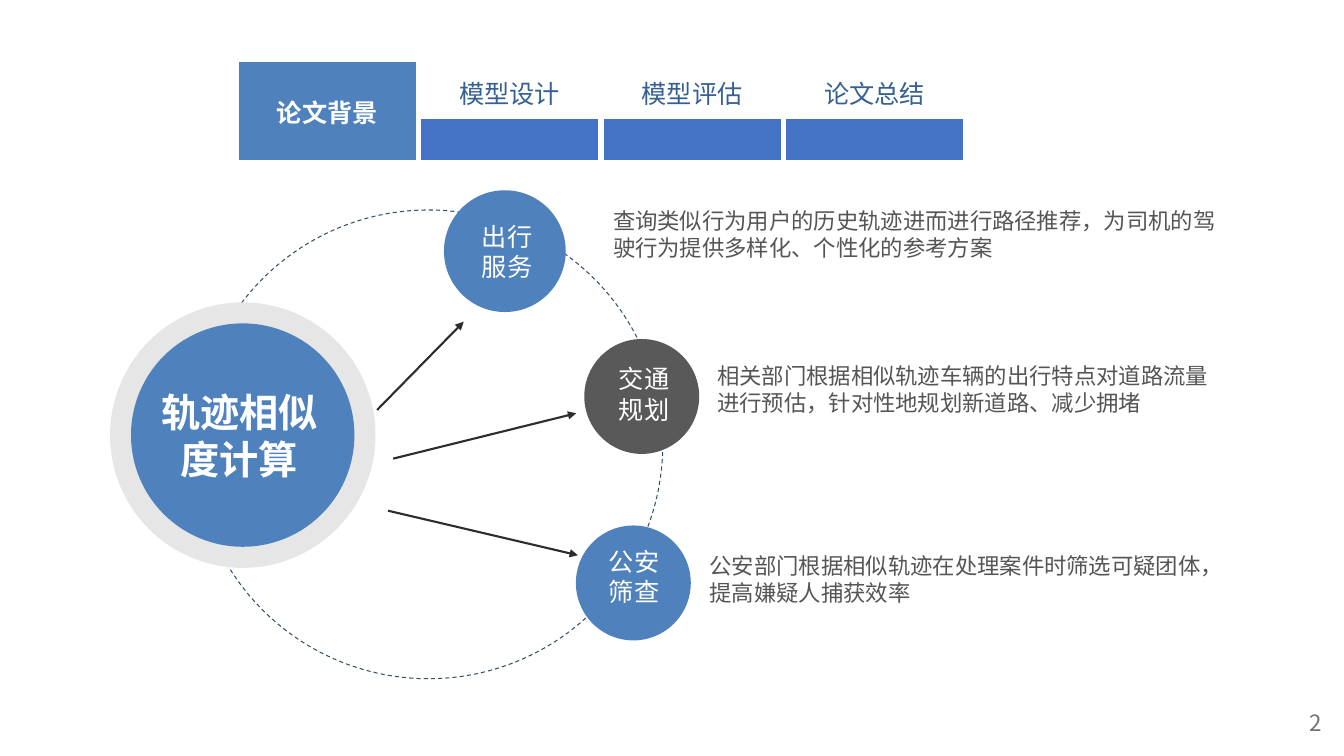
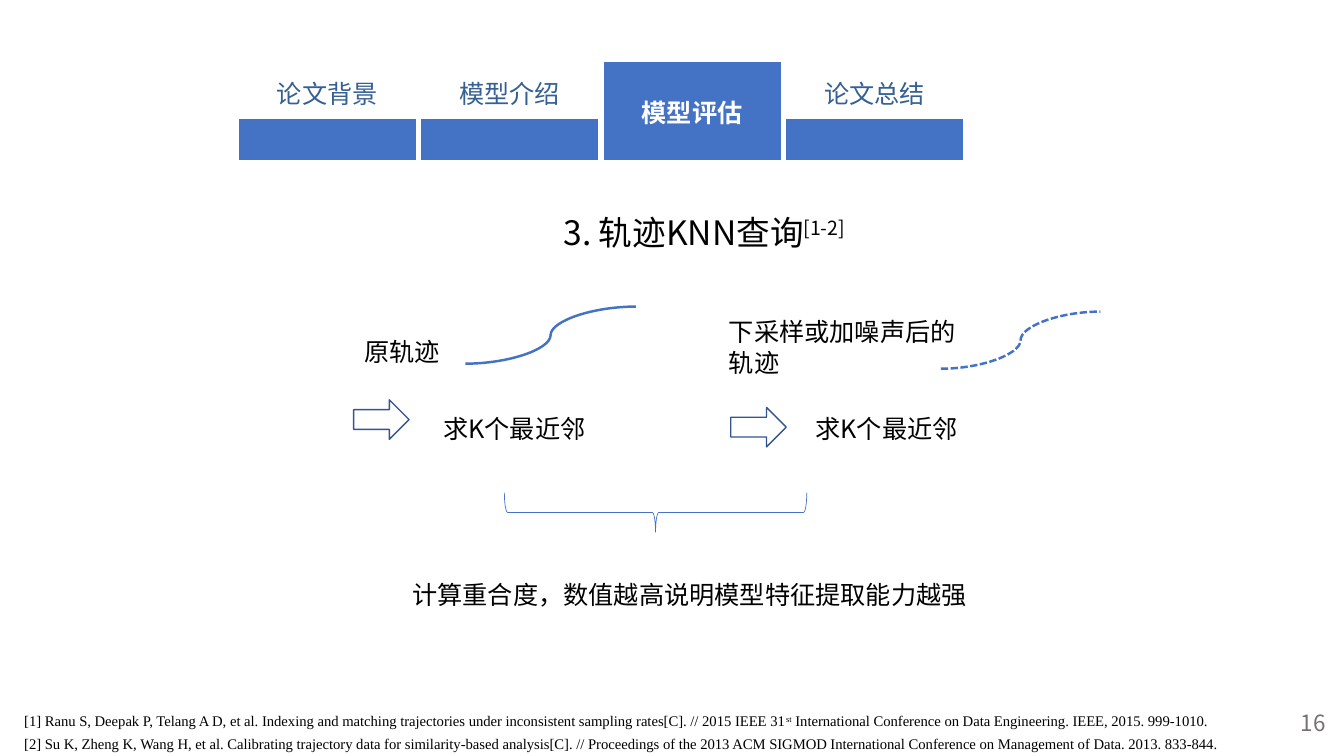
from dataclasses import dataclass

import pptx
import pptx.dml.color
import pptx.enum.dml
import pptx.enum.shapes
import pptx.enum.text
import pptx.oxml
import pptx.oxml.ns
import pptx.util

Pt = pptx.util.Pt
SHAPE = pptx.enum.shapes.MSO_SHAPE
CONNECTOR = pptx.enum.shapes.MSO_CONNECTOR
DASH = pptx.enum.dml.MSO_LINE
ALIGN = pptx.enum.text.PP_ALIGN
ANCHOR = pptx.enum.text.MSO_ANCHOR

COLUMNS, ROWS = 160, 90
CELL = pptx.util.Inches(7.5) // ROWS

SANS, LATIN, SERIF = "Noto Sans CJK SC", "Calibri", "Times New Roman"
WHITE, BLACK = "FFFFFF", "000000"
SOFT_BLUE, STRONG_BLUE, TAB_TEXT = "4F81BD", "4472C4", "366092"
DARK_GREY, BODY_GREY, PAGE_GREY, RING_GREY = "595959", "555555", "767171", "E7E6E6"
ORBIT_LINE, ARROW_LINE, STEP_LINE = "344F66", "2E2C2C", "325491"


@dataclass(frozen=True)
class Box:
    col: float
    row: float
    cols: float
    rows: float


@dataclass(frozen=True)
class Style:
    size: float
    color: str
    font: str = SANS
    bold: bool = False
    align: ALIGN = ALIGN.LEFT


@dataclass(frozen=True)
class Stroke:
    color: str
    width: float
    dash: DASH | None = None


@dataclass(frozen=True)
class Span:
    col: float
    row: float
    to_col: float
    to_row: float


@dataclass(frozen=True)
class Circle:
    col: float
    row: float
    radius: float


@dataclass(frozen=True)
class Application:
    circle: Circle
    fill: str
    name: tuple[str, ...]
    name_box: Box
    benefit: str
    benefit_box: Box
    arrow: Span


@dataclass(frozen=True)
class Trajectory:
    name: str
    name_box: Box
    curve: Span
    stroke: Stroke
    step: Box
    query_box: Box


TAB = Style(18, TAB_TEXT, align=ALIGN.CENTER)
ACTIVE_TAB = Style(18, WHITE, bold=True, align=ALIGN.CENTER)
HUB = Style(28, WHITE, LATIN, True, ALIGN.CENTER)
CIRCLE_NAME = Style(18, WHITE)
BENEFIT = Style(16, BODY_GREY, LATIN)
HEADING = Style(24, BLACK)
BODY = Style(18, BLACK)
PAGE = Style(16, PAGE_GREY)
REFERENCE = Style(10.5, BLACK, SERIF, align=ALIGN.JUSTIFY)

APPLICATIONS = (
    Application(Circle(60.1, 29.9, 7.25), SOFT_BLUE, ("出行", "服务"), Box(56.2, 25.7, 15.4, 8.5),
                "查询类似行为用户的历史轨迹进而进行路径推荐，为司机的驾驶行为提供多样化、个性化的参考方案",
                Box(71.8, 24.1, 75.4, 7.7), Span(44.9, 48.8, 55.2, 38.3)),
    Application(Circle(76.4, 47.2, 6.84), DARK_GREY, ("交通规划",), Box(72.5, 42.7, 9.7, 8.5),
                "相关部门根据相似轨迹车辆的出行特点对道路流量进行预估，针对性地规划新道路、减少拥堵",
                Box(84.2, 42.5, 61.2, 7.7), Span(46.8, 54.6, 68.6, 49.2)),
    Application(Circle(75.4, 69.4, 6.84), SOFT_BLUE, ("公安", "筛查"), Box(71.3, 64.4, 15.4, 8.5),
                "公安部门根据相似轨迹在处理案件时筛选可疑团体，提高嫌疑人捕获效率",
                Box(83.3, 65.2, 63, 7.7), Span(46.2, 60.8, 68.8, 66.1)),
)

TRAJECTORIES = (
    Trajectory("原轨迹", Box(42.2, 39.5, 30.2, 4.8), Span(55.4, 43.3, 75.7, 36.5),
               Stroke(STRONG_BLUE, 1.75), Box(42.1, 47.6, 6.6, 4.7), Box(51.6, 48.6, 19.4, 4.8)),
    Trajectory("下采样或加噪声后的轨迹", Box(85.6, 37.1, 30.2, 8.5), Span(112, 43.9, 131, 37.1),
               Stroke(STRONG_BLUE, 1.75, DASH.SQUARE_DOT), Box(87, 48.5, 6.6, 4.7),
               Box(95.9, 48.6, 19.4, 4.8)),
)

REFERENCES = (
    ("[1] Ranu S, Deepak P, Telang A D, et al. Indexing and matching trajectories under "
     "inconsistent sampling rates[C]. // 2015 IEEE 31", "st",
     " International Conference on Data Engineering. IEEE, 2015. 999-1010."),
    ("[2] Su K, Zheng K, Wang H, et al. Calibrating trajectory data for similarity-based "
     "analysis[C]. // Proceedings of the 2013 ACM SIGMOD International Conference on "
     "Management of Data. 2013. 833-844.",),
)


def grid(cells: float) -> int:
    return round(cells * CELL)


def place(box: Box) -> tuple[int, ...]:
    return grid(box.col), grid(box.row), grid(box.cols), grid(box.rows)


def rgb(value: str) -> pptx.dml.color.RGBColor:
    return pptx.dml.color.RGBColor.from_string(value)


def apply_style(paragraph, style: Style) -> None:
    paragraph.alignment = style.align
    font = paragraph.font
    font.name, font.size, font.bold = style.font, Pt(style.size), style.bold
    font.color.rgb = rgb(style.color)


def apply_stroke(line, stroke: Stroke) -> None:
    line.color.rgb = rgb(stroke.color)
    line.width = Pt(stroke.width)
    if stroke.dash is not None:
        line.dash_style = stroke.dash


def add_text(slide, box: Box, paragraphs: tuple, style: Style):
    frame = slide.shapes.add_textbox(*place(box)).text_frame
    frame.word_wrap = True
    for index, content in enumerate(paragraphs):
        paragraph = frame.add_paragraph() if index else frame.paragraphs[0]
        apply_style(paragraph, style)
        pieces = (content,) if isinstance(content, str) else content
        for position, piece in enumerate(pieces):
            run = paragraph.add_run()
            run.text = piece
            if position % 2:
                run._r.get_or_add_rPr().set("baseline", "30000")
    return frame


def add_figure(slide, kind: SHAPE, box: Box, fill: str | None = None,
               stroke: Stroke | None = None):
    figure = slide.shapes.add_shape(kind, *place(box))
    figure.shadow.inherit = False
    if fill:
        figure.fill.solid()
        figure.fill.fore_color.rgb = rgb(fill)
    else:
        figure.fill.background()
    if stroke:
        apply_stroke(figure.line, stroke)
    else:
        figure.line.fill.background()
    return figure


def add_circle(slide, circle: Circle, fill: str | None = None,
               stroke: Stroke | None = None) -> None:
    side = 2 * circle.radius
    box = Box(circle.col - circle.radius, circle.row - circle.radius, side, side)
    add_figure(slide, SHAPE.OVAL, box, fill, stroke)


def add_line(slide, kind: CONNECTOR, span: Span, stroke: Stroke, arrow: bool = False) -> None:
    line = slide.shapes.add_connector(kind, grid(span.col), grid(span.row),
                                      grid(span.to_col), grid(span.to_row))
    apply_stroke(line.line, stroke)
    if arrow:
        end = pptx.oxml.parse_xml(
            f'<a:tailEnd {pptx.oxml.ns.nsdecls("a")} type="triangle"/>')
        line.line._get_or_add_ln().append(end)
    line._element.spPr.append(
        pptx.oxml.parse_xml(f'<a:effectLst {pptx.oxml.ns.nsdecls("a")}/>'))


def style_cell(cell, fill: str | None, top_width: float) -> None:
    properties = cell._tc.get_or_add_tcPr()
    for side in "LRTB":
        width = Pt(top_width if side == "T" else 4.5)
        properties.append(pptx.oxml.parse_xml(
            f'<a:ln{side} {pptx.oxml.ns.nsdecls("a")} w="{width}"><a:solidFill>'
            f'<a:srgbClr val="{WHITE}"/></a:solidFill></a:ln{side}>'))
    if fill:
        cell.fill.solid()
        cell.fill.fore_color.rgb = rgb(fill)
    else:
        cell.fill.background()


def add_navigation(slide, sections: tuple[str, ...], active: int, active_fill: str) -> None:
    heights = (6.6, 5.5)
    box = Box(28.1, 7.2, 21.72 * len(sections), sum(heights))
    tabs = slide.shapes.add_table(len(heights), len(sections), *place(box)).table
    tabs.first_row = tabs.horz_banding = False
    for row, height in zip(tabs.rows, heights):
        row.height = grid(height)
    for index, section in enumerate(sections):
        chosen = index == active
        label, band = tabs.cell(0, index), tabs.cell(1, index)
        style_cell(label, active_fill if chosen else None, 3)
        style_cell(band, active_fill if chosen else STRONG_BLUE, 4.5)
        if chosen:
            label.merge(band)
        label.text = section
        label.vertical_anchor = ANCHOR.MIDDLE if chosen else ANCHOR.BOTTOM
        apply_style(label.text_frame.paragraphs[0], ACTIVE_TAB if chosen else TAB)


def add_page(deck, sections: tuple[str, ...], active: int, active_fill: str,
             number: str, number_col: float):
    slide = deck.slides.add_slide(deck.slide_layouts[6])
    add_navigation(slide, sections, active, active_fill)
    add_text(slide, Box(number_col, 83.8, 6.3, 4.4), (number,), PAGE)
    return slide


def build_background(deck) -> None:
    slide = add_page(deck, ("论文背景", "模型设计", "模型评估", "论文总结"), 0, SOFT_BLUE,
                     "2", 154.7)
    add_circle(slide, Circle(51, 52.9, 27.9), stroke=Stroke(ORBIT_LINE, 0, DASH.DASH))
    add_circle(slide, Circle(28.9, 51.8, 15.8), RING_GREY)
    add_circle(slide, Circle(28.9, 51.8, 13.3), SOFT_BLUE)
    add_text(slide, Box(16.7, 45.6, 23.6, 12.5), ("轨迹相似度计算",), HUB)
    for item in APPLICATIONS:
        add_line(slide, CONNECTOR.STRAIGHT, item.arrow, Stroke(ARROW_LINE, 1.5), arrow=True)
        add_circle(slide, item.circle, item.fill)
        add_text(slide, item.name_box, item.name, CIRCLE_NAME)
        add_text(slide, item.benefit_box, (item.benefit,), BENEFIT)


def build_evaluation(deck) -> None:
    slide = add_page(deck, ("论文背景", "模型介绍", "模型评估", "论文总结"), 2, STRONG_BLUE,
                     "16", 153.7)
    add_text(slide, Box(65.9, 24.6, 46.9, 6), (("3. 轨迹KNN查询", "[1-2]"),), HEADING)
    for item in TRAJECTORIES:
        add_text(slide, item.name_box, (item.name,), BODY)
        add_line(slide, CONNECTOR.CURVE, item.curve, item.stroke)
        add_figure(slide, SHAPE.RIGHT_ARROW, item.step, stroke=Stroke(STEP_LINE, 1))
        add_text(slide, item.query_box, ("求K个最近邻",), BODY)
    brace = add_figure(slide, SHAPE.LEFT_BRACE, Box(75.7, 43, 4.7, 36),
                       stroke=Stroke(STRONG_BLUE, 0.5))
    brace.rotation = 270
    add_text(slide, Box(47.9, 68.4, 69.7, 4.8),
             ("计算重合度，数值越高说明模型特征提取能力越强",), BODY)
    references = add_text(slide, Box(0, 83.6, 155.6, 6.4), REFERENCES, REFERENCE)
    for paragraph in references.paragraphs:
        paragraph.line_spacing = Pt(16)
        paragraph._p.get_or_add_pPr().set("indent", str(grid(1.7)))


def main() -> None:
    deck = pptx.Presentation()
    deck.slide_width, deck.slide_height = grid(COLUMNS), grid(ROWS)
    build_background(deck)
    build_evaluation(deck)
    deck.save("out.pptx")


if __name__ == "__main__":
    main()
